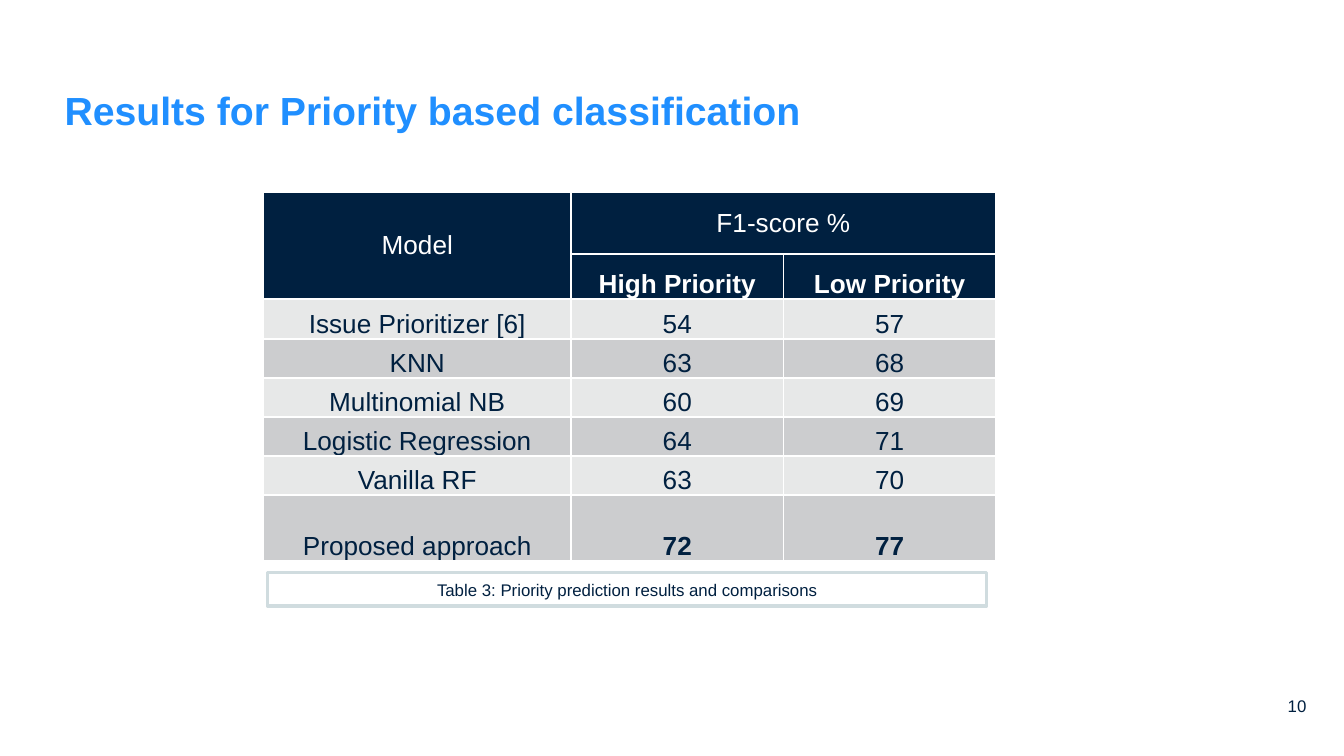
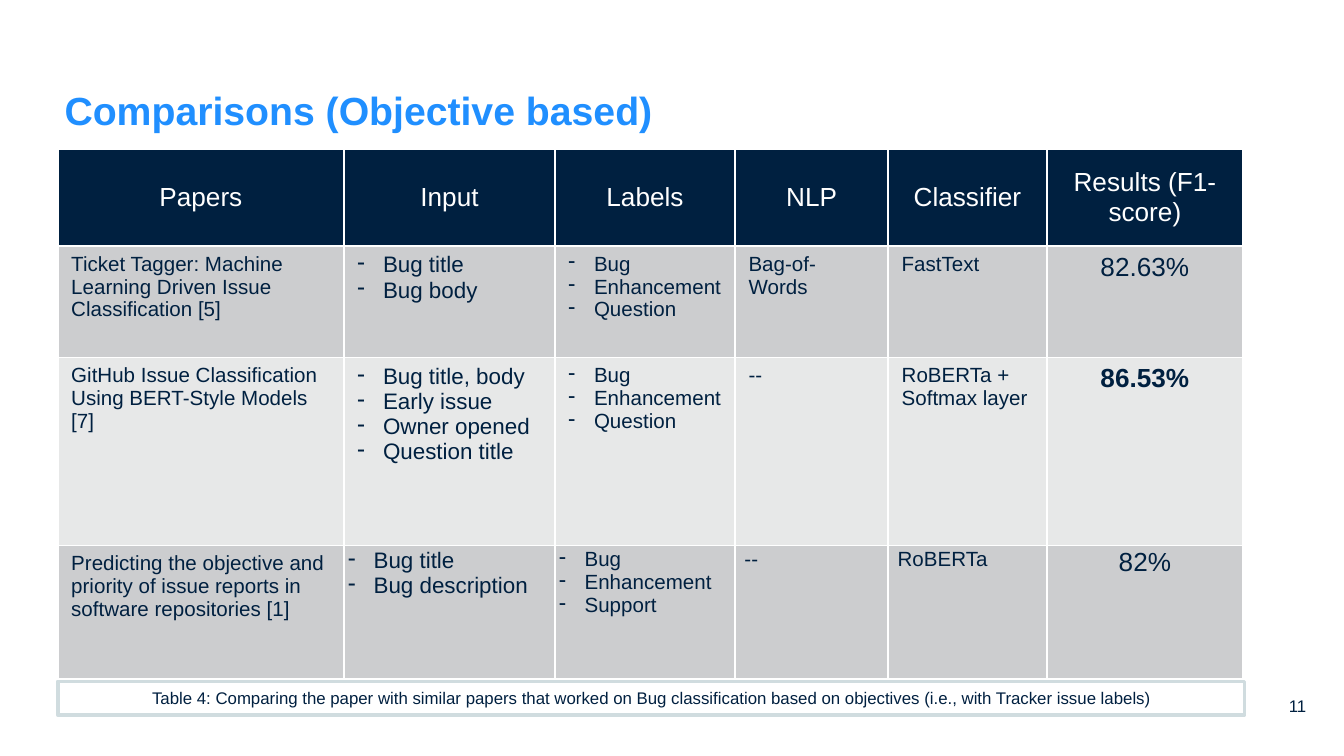
from dataclasses import dataclass

from lxml.etree import SubElement
from pptx import Presentation
from pptx.dml.color import RGBColor as Color
from pptx.enum.shapes import MSO_SHAPE as Shape
from pptx.enum.text import MSO_ANCHOR as Anchor, MSO_AUTO_SIZE as AutoSize, PP_ALIGN as Align
from pptx.oxml.ns import qn
from pptx.util import Inches, Pt


@dataclass(frozen=True)
class Theme:
    font: str = "Arial"
    navy: str = "002040"
    blue: str = "208FFF"
    white: str = "FFFFFF"
    light: str = "E7E8E8"
    dark: str = "CCCDCF"
    frame: str = "D0DCDF"
    title: int = 21
    large: int = 14
    medium: int = 12
    body: int = 11
    small: int = 9


theme = Theme()


def cells_wide(*counts):
    """Turn counts of grid squares (100 across the slide) into lengths."""
    return [Inches(count / 10) for count in counts]


def write(frame, lines, size, color, align, bold=False, bulleted=False, **frame_format):
    """Fill a text frame or table cell, one paragraph per line."""
    for name, value in frame_format.items():
        setattr(frame, name, value)
    text_frame = getattr(frame, "text_frame", frame)
    text_frame.text = "\n".join(lines)
    for para in text_frame.paragraphs:
        para.alignment = align
        if bulleted:
            props = para._p.get_or_add_pPr()
            props.set("marL", str(Inches(0.19)))
            props.set("indent", str(-Inches(0.19)))
            SubElement(props, qn("a:buChar"), char="-")
        span_format = {"name": theme.font, "size": Pt(size), "bold": bold}
        for span in para.runs:
            for name, value in span_format.items():
                setattr(span.font, name, value)
            span.font.color.rgb = Color.from_string(color)


def margins(left, top, right, bottom):
    names = ("margin_left", "margin_top", "margin_right", "margin_bottom")
    return dict(zip(names, cells_wide(left, top, right, bottom)))


# Contents
labels = ("Bug", "Enhancement", "Question")
pages = [
    {
        "number": 10,
        "title": "Results for Priority based classification",
        "place": (19.6, 14.3),
        "columns": (22.9, 15.8, 15.8),
        "rows": (4.6, 3.2, 3, 2.9, 2.9, 2.9, 2.9, 4.9),
        "header_rows": 2,
        "sizes": (theme.large,) * 3,
        "centred": (0, 1, 2),
        "merges": [((0, 0), (1, 0)), ((0, 1), (0, 2))],
        "bold": {(1, 1), (1, 2), (7, 1), (7, 2)},
        "cells": [
            ("Model", "F1-score %", None),
            (None, "High Priority", "Low Priority"),
            ("Issue Prioritizer [6]", "54", "57"),
            ("KNN", "63", "68"),
            ("Multinomial NB", "60", "69"),
            ("Logistic Regression", "64", "71"),
            ("Vanilla RF", "63", "70"),
            ("Proposed approach", "72", "77"),
        ],
        "tight": {"rows": range(1, 8), "first_column": 0, "anchor": Anchor.BOTTOM,
                  "margins": (0.1, 0.1, 0.1, 0), "text_left": 0.1},
        "caption": "Table 3: Priority prediction results and comparisons",
        "caption_place": (19.9, 42.6, 53.5, 2.5),
    },
    {
        "number": 11,
        "title": "Comparisons (Objective based)",
        "place": (4.3, 11.1),
        "columns": (21.3, 15.7, 13.4, 11.4, 11.8, 14.6),
        "rows": (7.2, 8.3, 14, 9.9),
        "header_rows": 1,
        "sizes": (theme.body, theme.medium, theme.body, theme.body, theme.body, theme.large),
        "centred": (5,),
        "merges": [],
        "bold": {(2, 5)},
        "cells": [
            ("Papers", "Input", "Labels", "NLP", "Classifier", "Results (F1-score)"),
            ("Ticket Tagger: Machine Learning Driven Issue Classification [5]",
             ("Bug title", "Bug body"), labels, "Bag-of-Words", "FastText", "82.63%"),
            ("GitHub Issue Classification Using BERT-Style Models [7]",
             ("Bug title, body", "Early issue", "Owner opened", "Question title"),
             labels, "--", "RoBERTa + Softmax layer", "86.53%"),
            ("Predicting the objective and priority of issue reports in software repositories [1]",
             ("Bug title", "Bug description"), labels[:2] + ("Support",),
             "--", "RoBERTa", "82%"),
        ],
        "tight": {"rows": (3,), "first_column": 1, "anchor": Anchor.TOP,
                  "margins": (0.3, 0.2, 0.3, 0.2), "text_left": 0.7},
        "caption": "Table 4: Comparing the paper with similar papers that worked on Bug "
                   "classification based on objectives (i.e., with Tracker issue labels)",
        "caption_place": (4.3, 50.7, 88.3, 2.5),
    },
]

deck = Presentation()
deck.slide_width, deck.slide_height = cells_wide(100, 56.25)
title_only = deck.slide_layouts[5]

for page in pages:
    slide = deck.slides.add_slide(title_only)

    # Title
    title = slide.shapes.title
    title.left, title.top, title.width, title.height = cells_wide(4.8, 6.1, 86.2, 4.9)
    write(title.text_frame, [page["title"]], theme.title, theme.blue, Align.LEFT, bold=True,
          auto_size=AutoSize.NONE, word_wrap=True, vertical_anchor=Anchor.TOP,
          **margins(0, 0.3, 0, 0))

    # Page number
    box = slide.shapes.add_textbox(*cells_wide(93.9, 51.8, 3.3, 2.1))
    write(box.text_frame, [str(page["number"])], theme.small, theme.navy, Align.RIGHT,
          word_wrap=True, **margins(0, 0, 0, 0))

    # Table grid
    size = cells_wide(sum(page["columns"]), sum(page["rows"]))
    table = slide.shapes.add_table(len(page["rows"]), len(page["columns"]),
                                   *cells_wide(*page["place"]), *size).table
    table.first_row = table.horz_banding = False
    for column, width in zip(table.columns, cells_wide(*page["columns"])):
        column.width = width
    for row, height in zip(table.rows, cells_wide(*page["rows"])):
        row.height = height
    for start, end in page["merges"]:
        table.cell(*start).merge(table.cell(*end))

    # Table cells
    tight = page["tight"]
    for r, texts in enumerate(page["cells"]):
        for c, text in enumerate(texts):
            cell = table.cell(r, c)
            props = cell._tc.get_or_add_tcPr()
            for side in ("lnL", "lnR", "lnT", "lnB"):
                border = SubElement(props, qn(f"a:{side}"), w=str(Pt(1)))
                SubElement(SubElement(border, qn("a:solidFill")), qn("a:srgbClr"), val=theme.white)
            header = r < page["header_rows"]
            cell.fill.solid()
            cell.fill.fore_color.rgb = Color.from_string(
                theme.navy if header else theme.dark if r % 2 else theme.light)
            if text is None:
                continue
            bulleted = isinstance(text, tuple)
            centred = header or c in page["centred"]
            cell_format = {"vertical_anchor": Anchor.MIDDLE if header else Anchor.TOP}
            if r in tight["rows"] and c >= tight["first_column"]:
                cell_format = {"vertical_anchor": tight["anchor"], **margins(*tight["margins"])}
                if not bulleted and not centred:
                    cell_format["margin_left"] = cells_wide(tight["text_left"])[0]
            write(cell, text if bulleted else [text],
                  theme.large if header else page["sizes"][c],
                  theme.white if header else theme.navy,
                  Align.CENTER if centred else Align.LEFT,
                  bold=(r, c) in page["bold"], bulleted=bulleted, **cell_format)

    # Caption
    caption = slide.shapes.add_shape(Shape.RECTANGLE, *cells_wide(*page["caption_place"]))
    caption.shadow.inherit = False
    caption.fill.solid()
    caption.fill.fore_color.rgb = Color.from_string(theme.white)
    caption.line.color.rgb = Color.from_string(theme.frame)
    caption.line.width = Pt(2)
    write(caption.text_frame, [page["caption"]], theme.small, theme.navy, Align.CENTER,
          word_wrap=True, vertical_anchor=Anchor.MIDDLE)

deck.save("out.pptx")
